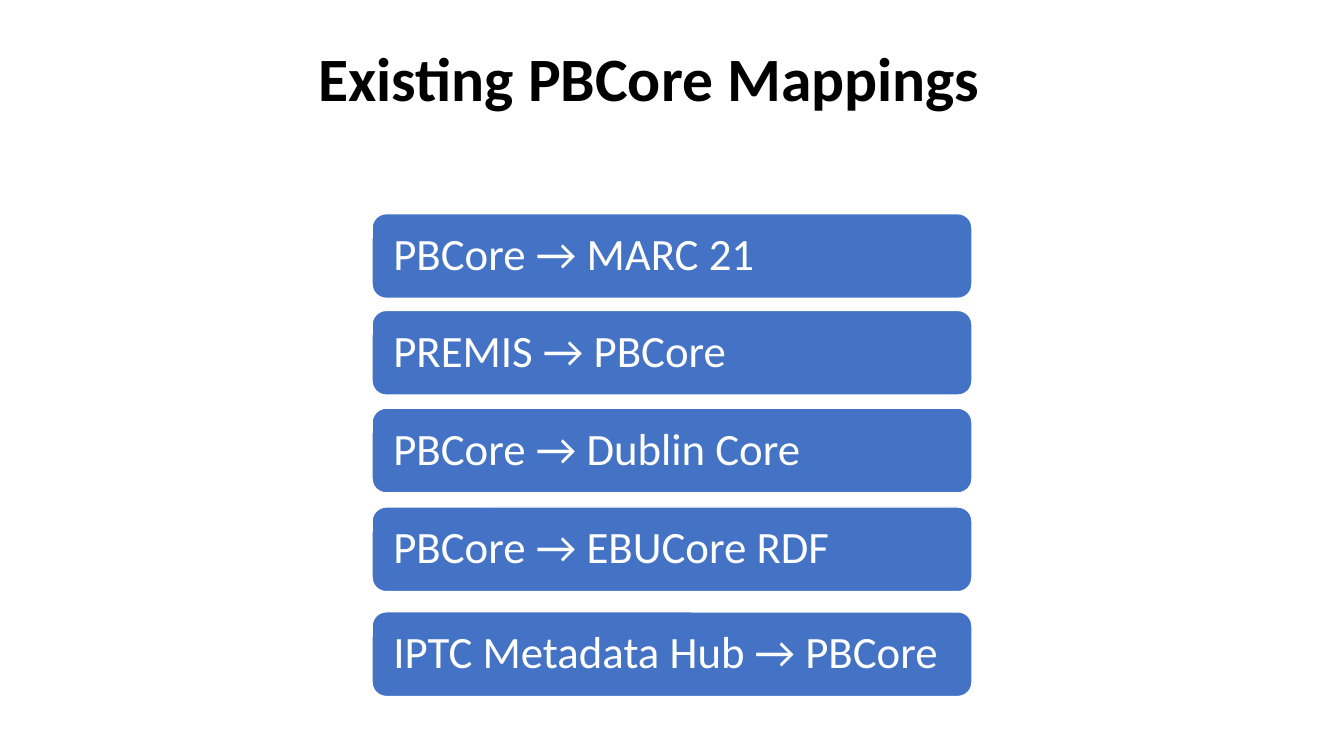
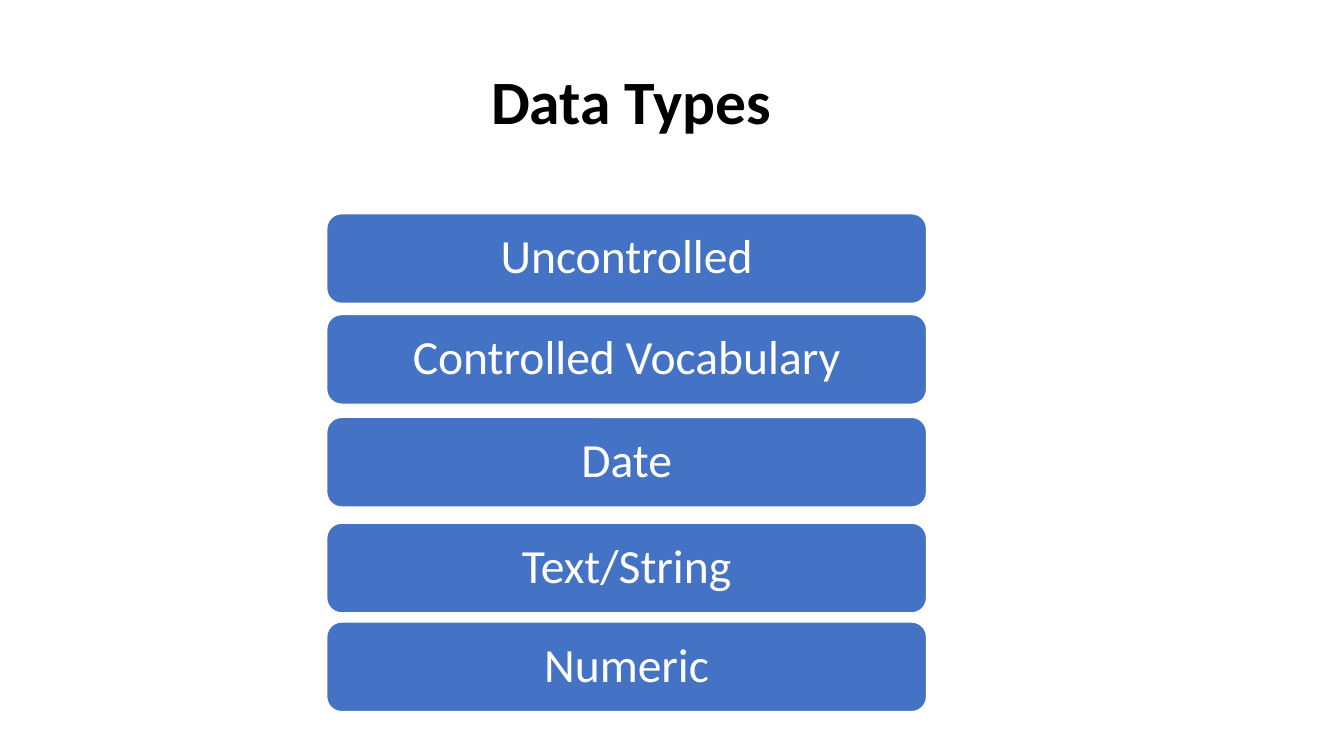
from pptx import Presentation
from pptx.dml.color import RGBColor
from pptx.enum.shapes import MSO_SHAPE
from pptx.enum.text import MSO_ANCHOR, MSO_AUTO_SIZE, PP_ALIGN
from pptx.util import Inches, Pt

BLACK, WHITE, BLUE = "000000", "FFFFFF", "4472C4"
FONT = "Calibri"
TITLE_ONLY = 5
TITLE_SIZE = (8, 1)
BAR_WIDTH = 5.95

SLIDES = [
    {
        "title": "Existing PBCore Mappings",
        "title_at": (3.06, 0.43),
        "bars": [
            ("PBCore → MARC 21", 2.12),
            ("PREMIS → PBCore", 3.08),
            ("PBCore → Dublin Core", 4.05),
            ("PBCore → EBUCore RDF", 5.03),
            ("IPTC Metadata Hub → PBCore", 6.07),
        ],
        "style": {"left": 3.69, "height": 0.84, "inset": 0.17,
                  "size": 32, "align": PP_ALIGN.LEFT},
    },
    {
        "title": "Data Types",
        "title_at": (4.77, 0.66),
        "bars": [
            ("Uncontrolled", 2.12),
            ("Controlled Vocabulary", 3.12),
            ("Date", 4.14),
            ("Text/String", 5.19),
            ("Numeric", 6.17),
        ],
        "style": {"left": 3.24, "height": 0.89, "inset": 0.18,
                  "size": 34, "align": PP_ALIGN.CENTER},
    },
]


def rgb(color):
    return RGBColor.from_string(color)


def set_all(obj, values):
    for name, value in values.items():
        setattr(obj, name, value)


def write(sp, text, size, color, align, anchor, bold=False):
    """Put one formatted paragraph into a shape or placeholder."""
    tf = sp.text_frame
    tf.text = text
    set_all(tf, {"word_wrap": True, "auto_size": MSO_AUTO_SIZE.NONE,
                 "vertical_anchor": anchor})
    p = tf.paragraphs[0]
    set_all(p, {"alignment": align, "line_spacing": 0.9, "space_before": Pt(0)})
    font = p.runs[0].font
    set_all(font, {"name": FONT, "size": Pt(size), "bold": bold})
    font.color.rgb = rgb(color)


def add_title(s, text, at):
    title = s.shapes.title
    names = ("left", "top", "width", "height")
    set_all(title, dict(zip(names, map(Inches, at + TITLE_SIZE))))
    write(title, text, 44, BLACK, PP_ALIGN.LEFT, MSO_ANCHOR.TOP, bold=True)


def add_bar(s, text, top, left, height, inset, size, align):
    box = map(Inches, (left, top, BAR_WIDTH, height))
    sp = s.shapes.add_shape(MSO_SHAPE.ROUNDED_RECTANGLE, *box)
    sp.shadow.inherit = False
    sp.fill.solid()
    sp.fill.fore_color.rgb = rgb(BLUE)
    sp.line.color.rgb = rgb(WHITE)
    sp.line.width = Pt(1)
    margins = ("margin_left", "margin_top", "margin_right", "margin_bottom")
    set_all(sp.text_frame, dict.fromkeys(margins, Inches(inset)))
    write(sp, text, size, WHITE, align, MSO_ANCHOR.MIDDLE)


def main():
    prs = Presentation()
    set_all(prs, {"slide_width": Inches(13.33), "slide_height": Inches(7.5)})
    for content in SLIDES:
        s = prs.slides.add_slide(prs.slide_layouts[TITLE_ONLY])
        add_title(s, content["title"], content["title_at"])
        for text, top in content["bars"]:
            add_bar(s, text, top, **content["style"])
    prs.save("out.pptx")


if __name__ == "__main__":
    main()
